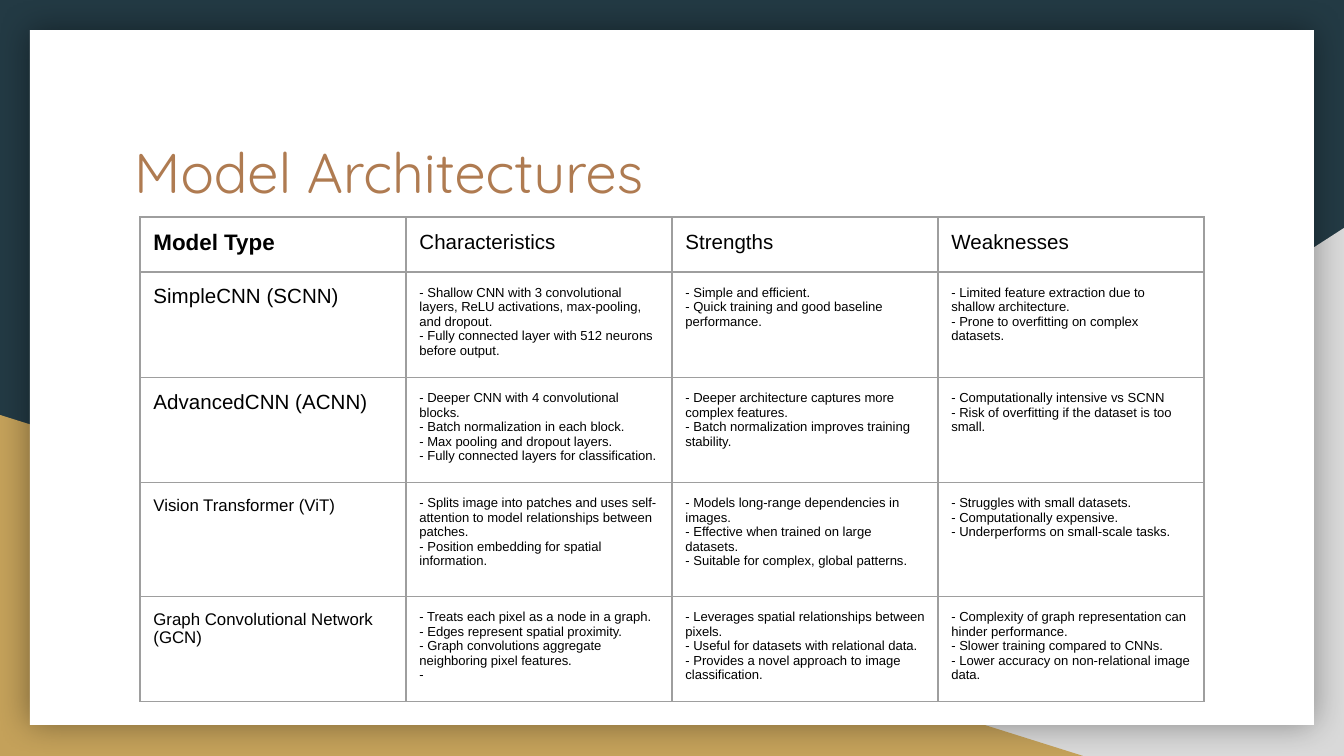
import lxml.etree
import pptx
import pptx.dml.color
import pptx.enum.shapes
import pptx.enum.text
import pptx.oxml
import pptx.oxml.ns
import pptx.util

PX = 914400 / 134.4  # EMU in one px
RGBColor = pptx.dml.color.RGBColor
NAVY = RGBColor(0x23, 0x3A, 0x44)
GREY = RGBColor(0xD9, 0xD9, 0xD9)
GOLD = RGBColor(0xC4, 0xA1, 0x5A)
WHITE = RGBColor(0xFF, 0xFF, 0xFF)
BROWN = RGBColor(0xAF, 0x7B, 0x51)
BLACK = RGBColor(0x00, 0x00, 0x00)
BORDER = RGBColor(0x9E, 0x9E, 0x9E)

RIGHT_TRIANGLE = pptx.enum.shapes.MSO_SHAPE.RIGHT_TRIANGLE
RECTANGLE = pptx.enum.shapes.MSO_SHAPE.RECTANGLE
NAMESPACE = pptx.oxml.ns.nsdecls("a")

COLUMN_WIDTH = 266
ROW_HEIGHTS = [55, 100, 99, 114, 100]
BODY_SIZE = 7
HEADINGS = [("Model Type", 12), ("Characteristics", 11), ("Strengths", 11), ("Weaknesses", 11)]
MODELS = [
    ("SimpleCNN (SCNN)", 11,
     ["- Shallow CNN with 3 convolutional layers, ReLU activations, max-pooling, and dropout.",
      "- Fully connected layer with 512 neurons before output."],
     ["- Simple and efficient.",
      "- Quick training and good baseline performance."],
     ["- Limited feature extraction due to shallow architecture.",
      "- Prone to overfitting on complex datasets."]),
    ("AdvancedCNN (ACNN)", 11,
     ["- Deeper CNN with 4 convolutional blocks.",
      "- Batch normalization in each block.",
      "- Max pooling and dropout layers.",
      "- Fully connected layers for classification."],
     ["- Deeper architecture captures more complex features.",
      "- Batch normalization improves training stability."],
     ["- Computationally intensive vs SCNN",
      "- Risk of overfitting if the dataset is too small."]),
    ("Vision Transformer (ViT)", 9,
     ["- Splits image into patches and uses self-attention to model relationships between patches.",
      "- Position embedding for spatial information."],
     ["- Models long-range dependencies in images.",
      "- Effective when trained on large datasets.",
      "- Suitable for complex, global patterns."],
     ["- Struggles with small datasets.",
      "- Computationally expensive.",
      "- Underperforms on small-scale tasks."]),
    ("Graph Convolutional Network (GCN)", 9,
     ["- Treats each pixel as a node in a graph.",
      "- Edges represent spatial proximity.",
      "- Graph convolutions aggregate neighboring pixel features.",
      "-"],
     ["- Leverages spatial relationships between pixels.",
      "- Useful for datasets with relational data.",
      "- Provides a novel approach to image classification."],
     ["- Complexity of graph representation can hinder performance.",
      "- Slower training compared to CNNs.",
      "- Lower accuracy on non-relational image data."]),
]


def px(*lengths):
    return [pptx.util.Emu(round(length * PX)) for length in lengths]


def fill_cell(cell, lines, size, bold=False):
    """Write one paragraph per line, with plain margins and a grey border."""
    cell.text = "\n".join(lines)
    cell.margin_left = cell.margin_right = pptx.util.Inches(0.1)
    cell.margin_top = cell.margin_bottom = pptx.util.Inches(0.1)
    for paragraph in cell.text_frame.paragraphs:
        paragraph.font.name = "Arial"
        paragraph.font.size = pptx.util.Pt(size)
        paragraph.font.bold = bold
        paragraph.font.color.rgb = BLACK
    properties = cell._tc.get_or_add_tcPr()
    for side in ("lnL", "lnR", "lnT", "lnB"):
        properties.append(pptx.oxml.parse_xml(
            f'<a:{side} {NAMESPACE} w="{pptx.util.Pt(0.75)}"><a:solidFill>'
            f'<a:srgbClr val="{BORDER}"/></a:solidFill></a:{side}>'))
    cell.fill.background()


deck = pptx.Presentation()
deck.slide_width, deck.slide_height = px(1344, 756)
page = deck.slides.add_slide(deck.slide_layouts[6])
page.background.fill.solid()
page.background.fill.fore_color.rgb = NAVY

# Two corner triangles, then the white card over them
for kind, color, flipped, frame in [
    (RIGHT_TRIANGLE, GREY, True, (527, 228, 817, 528)),
    (RIGHT_TRIANGLE, GOLD, False, (0, 415, 1083, 341)),
    (RECTANGLE, WHITE, False, (30, 30, 1284, 695)),
]:
    shape = page.shapes.add_shape(kind, *px(*frame))
    shape.shadow.inherit = False
    shape.fill.solid()
    shape.fill.fore_color.rgb = color
    shape.line.fill.background()
    if flipped:
        shape._element.spPr.xfrm.set("flipH", "1")

card = shape
effects = card._element.spPr.find(pptx.oxml.ns.qn("a:effectLst"))
effects.append(pptx.oxml.parse_xml(
    f'<a:outerShdw {NAMESPACE} blurRad="{pptx.util.Pt(18)}" dist="0" dir="0" algn="ctr" '
    f'rotWithShape="0"><a:srgbClr val="{BLACK}"><a:alpha val="40000"/></a:srgbClr></a:outerShdw>'))

title = page.shapes.add_textbox(*px(121, 124, 1103, 140)).text_frame
title.word_wrap = True
title.vertical_anchor = pptx.enum.text.MSO_ANCHOR.TOP
title.margin_left = title.margin_right = pptx.util.Inches(0.1)
title.margin_top = title.margin_bottom = pptx.util.Inches(0.1)
title.text = "Model Architectures"
heading = title.paragraphs[0]
heading.font.name = "Quicksand"
heading.font.size = pptx.util.Pt(30)
heading.font.color.rgb = BROWN

table = page.shapes.add_table(
    len(ROW_HEIGHTS), len(HEADINGS),
    *px(140, 217, COLUMN_WIDTH * len(HEADINGS), sum(ROW_HEIGHTS))).table
table.first_row = False
table.horz_banding = False
for column in table.columns:
    column.width = px(COLUMN_WIDTH)[0]
for row, height in zip(table.rows, ROW_HEIGHTS):
    row.height = px(height)[0]

for column, (text, size) in enumerate(HEADINGS):
    fill_cell(table.cell(0, column), [text], size, bold=column == 0)
for row, (model, size, *details) in enumerate(MODELS, start=1):
    fill_cell(table.cell(row, 0), [model], size)
    for column, lines in enumerate(details, start=1):
        fill_cell(table.cell(row, column), lines, BODY_SIZE)

deck.save("out.pptx")
